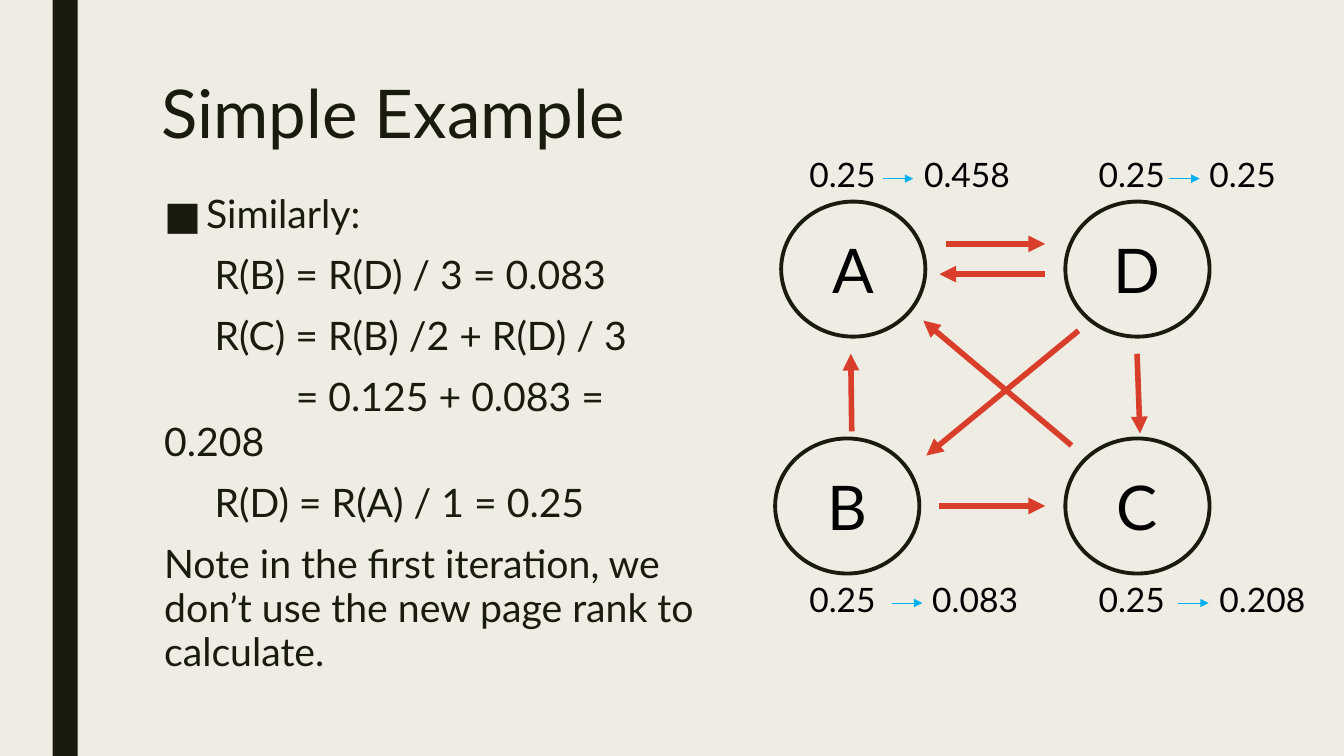
from pptx import Presentation
from pptx.dml.color import RGBColor as RGB
from pptx.enum.shapes import MSO_CONNECTOR as LINK, MSO_SHAPE as KIND
from pptx.enum.text import MSO_ANCHOR as ANCHOR, MSO_AUTO_SIZE as AUTO, PP_ALIGN as ALIGN
from pptx.oxml.ns import qn
from pptx.util import Pt
from lxml.etree import SubElement as Sub

INK, PAPER, BLACK, RED, BLUE = "191B0E", "EFEDE3", "000000", "D93E2B", "00B0F0"
FACE = "Lato"
NODES = [("A", 558, 144), ("D", 761, 144), ("B", 553.7, 313.2), ("C", 761, 313.2)]
EDGES = [
    (608.4, 308.2, 607.7, 252.7),
    (746.6, 195.8, 671, 195.8),
    (765.4, 318.2, 659.5, 229),
    (671, 361.4, 746.6, 361.4),
    (812.2, 252.7, 814.3, 309.6),
    (770.4, 236.2, 661.7, 325.4),
    (675.4, 174.2, 746.6, 174.2),
]
RANKS = [
    (571, 106.6, 630.7, 653, "0.458"),
    (777.6, 106.6, 835.2, 856.8, "0.25"),
    (571, 409.7, 637.2, 658.8, "0.083"),
    (777.6, 409.7, 841.7, 864, "0.208"),
]
STEPS = [
    ("Similarly:", 30, -30),
    ("R(B) = R(D) / 3 = 0.083", 0, 36),
    ("R(C) = R(B) /2 + R(D) / 3", 0, 36),
    ("= 0.125 + 0.083 = 0.208", 0, 94),
    ("R(D) = R(A) / 1 = 0.25", 0, 36),
    ("Note in the first iteration, we don’t use the new page rank to calculate.", 0, 0),
]


def tint(part, code):
    part.rgb = RGB.from_string(code)


def put(item, form):
    for name, value in form.items():
        setattr(item, name, value)


def write(para, text, size, code, **form):
    put(para, form)
    run = para.add_run()
    run.text = text
    put(run.font, {"name": FACE, "size": Pt(size)})
    tint(run.font.color, code)


def shape(slide, kind, box, fill, edge=None):
    item = slide.shapes.add_shape(kind, *map(Pt, box))
    item.shadow.inherit = False
    item.fill.solid()
    tint(item.fill.fore_color, fill)
    if edge:
        item.line.width = Pt(2.75)
        tint(item.line.color, edge)
    else:
        item.line.fill.background()
    return item


def node(slide, name, left, top):
    item = shape(slide, KIND.OVAL, (left, top, 103, 96.5), PAPER, INK)
    item.text_frame.vertical_anchor = ANCHOR.MIDDLE
    write(item.text_frame.paragraphs[0], name, 44, BLACK, alignment=ALIGN.CENTER)


def arrow(slide, ends, code, width):
    item = slide.shapes.add_connector(LINK.STRAIGHT, *map(Pt, ends))
    item.line.width = Pt(width)
    tint(item.line.color, code)
    Sub(item.line._get_or_add_ln(), qn("a:tailEnd"), type="triangle")
    Sub(item._element.spPr, qn("a:effectLst"))


def label(slide, text, left, top, width):
    box = slide.shapes.add_textbox(Pt(left), Pt(top), Pt(width), Pt(36))
    put(box.text_frame, {"word_wrap": True, "auto_size": AUTO.SHAPE_TO_FIT_TEXT})
    write(box.text_frame.paragraphs[0], text, 24, BLACK)


def rank(slide, left, top, tail, right, text):
    label(slide, "0.25", left, top, 69)
    mid = top + 21
    arrow(slide, (tail, mid, tail + 21.6, mid), BLUE, 0.5)
    label(slide, text, right, top, 86)


def title(slide, text):
    item = slide.shapes.title
    put(item, {"left": Pt(108), "top": Pt(54), "width": Pt(756), "height": Pt(59.8)})
    put(item.text_frame, {"vertical_anchor": ANCHOR.TOP, "auto_size": AUTO.NONE})
    write(item.text_frame.paragraphs[0], text, 48, INK, alignment=ALIGN.LEFT, line_spacing=0.89)


def steps(slide):
    frame = slide.shapes.add_textbox(Pt(110.2), Pt(134.6), Pt(404), Pt(368)).text_frame
    frame.word_wrap = True
    for row, (text, margin, indent) in enumerate(STEPS):
        para = frame.add_paragraph() if row else frame.paragraphs[0]
        write(para, text, 28, INK, line_spacing=0.94, space_before=Pt(10), space_after=Pt(2))
        props = para._p.get_or_add_pPr()
        props.set("marL", str(Pt(margin)))
        props.set("indent", str(Pt(indent)))
        if indent < 0:
            Sub(props, qn("a:buFont"), typeface=FACE)
            Sub(props, qn("a:buChar"), char="■")
        else:
            Sub(props, qn("a:buNone"))


def main():
    deck = Presentation()
    put(deck, {"slide_width": Pt(960), "slide_height": Pt(540)})
    slide = deck.slides.add_slide(deck.slide_layouts[5])
    slide.background.fill.solid()
    tint(slide.background.fill.fore_color, PAPER)
    shape(slide, KIND.RECTANGLE, (37.5, 0, 18, 540), INK)
    title(slide, "Simple Example")
    steps(slide)
    for item in NODES:
        node(slide, *item)
    for ends in EDGES:
        arrow(slide, ends, RED, 4)
    for item in RANKS:
        rank(slide, *item)
    deck.save("out.pptx")


if __name__ == "__main__":
    main()
